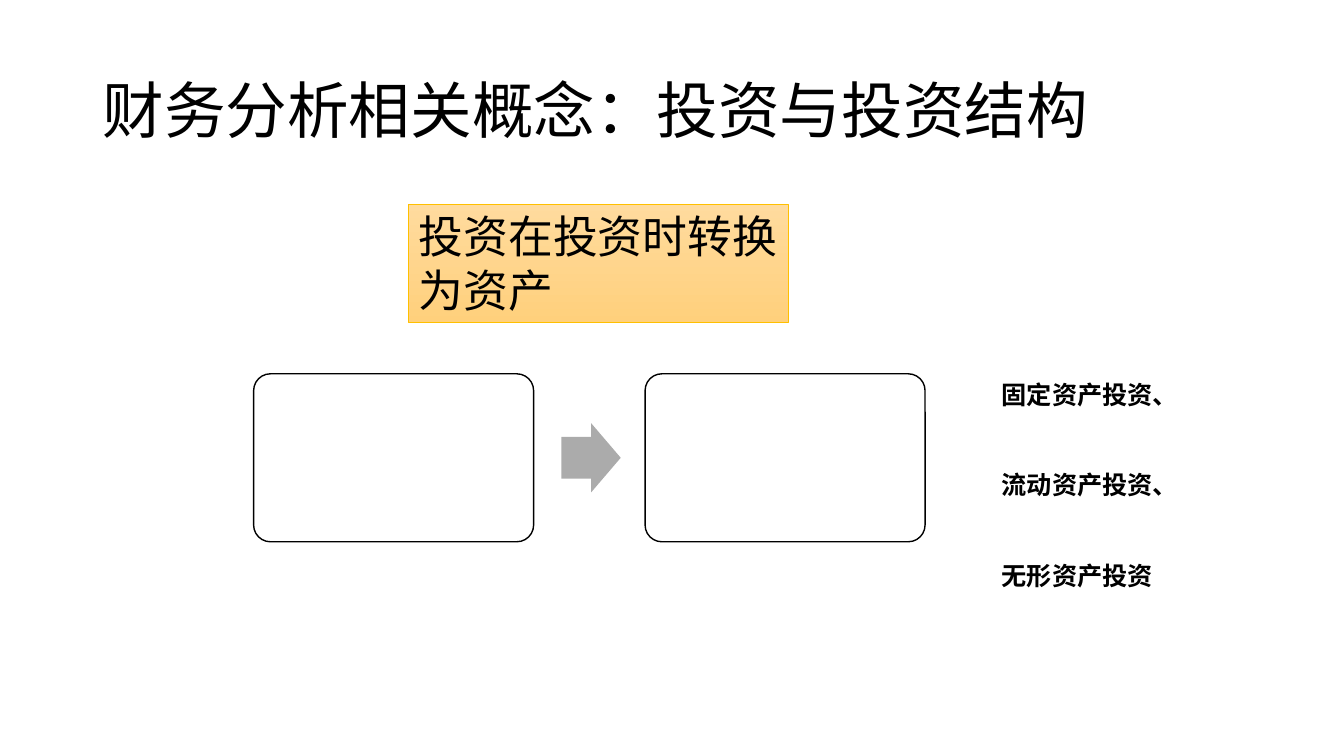
"""Build a slide on investment and investment structure."""
from lxml.etree import SubElement
from pptx import Presentation
from pptx.dml.color import RGBColor
from pptx.enum.shapes import MSO_SHAPE as Shape
from pptx.enum.text import MSO_ANCHOR as Anchor, MSO_AUTO_SIZE as AutoSize, PP_ALIGN as Align
from pptx.oxml.ns import qn
from pptx.util import Pt

FONT = "Noto Sans CJK SC"


def paint(color_format, value):
    color_format.rgb = RGBColor.from_string(value)


def write(box, text, size, bold=False, spacing=1.0, anchor=Anchor.TOP):
    frame = box.text_frame
    frame.word_wrap = True
    frame.auto_size = AutoSize.NONE
    frame.vertical_anchor = anchor
    frame.text = text
    for para in frame.paragraphs:
        para.alignment = Align.LEFT
        para.line_spacing = spacing
        for span in para.runs:
            span.font.name = FONT
            span.font.size = Pt(size)
            span.font.bold = bold
            paint(span.font.color, "000000")
            SubElement(span.font._element, qn("a:ea"), typeface=FONT)


deck = Presentation()
deck.slide_width, deck.slide_height = Pt(960), Pt(540)
page = deck.slides.add_slide(deck.slide_layouts[5])

title = page.shapes.title
title.left, title.top, title.width, title.height = Pt(66), Pt(28.75), Pt(828), Pt(104.4)
write(title, "财务分析相关概念：投资与投资结构", 44, spacing=0.9, anchor=Anchor.MIDDLE)

for left in (181.2, 460.8):
    panel = page.shapes.add_shape(Shape.ROUNDED_RECTANGLE, Pt(left), Pt(267), Pt(200), Pt(120))
    panel.adjustments[0] = 0.1
    panel.shadow.inherit = False
    panel.fill.solid()
    paint(panel.fill.fore_color, "FFFFFF")
    panel.line.width = Pt(1)
    paint(panel.line.color, "000000")

arrow = page.shapes.add_shape(Shape.RIGHT_ARROW, Pt(401), Pt(302.2), Pt(42.4), Pt(49.6))
arrow.adjustments[0] = 0.6
arrow.adjustments[1] = 0.5
arrow.shadow.inherit = False
arrow.fill.solid()
paint(arrow.fill.fore_color, "ABABAB")
arrow.line.fill.background()

banner = page.shapes.add_shape(Shape.RECTANGLE, Pt(292), Pt(145.8), Pt(271), Pt(84.8))
banner.shadow.inherit = False
banner.fill.gradient()
banner.fill.gradient_angle = 270
for stop, (position, value) in zip(banner.fill.gradient_stops, ((0, "FFDB9E"), (1, "FFD07C"))):
    stop.position = position
    paint(stop.color, value)
banner.line.width = Pt(0.5)
paint(banner.line.color, "FFC000")
write(banner, "投资在投资时转换为资产", 32)

kinds = page.shapes.add_textbox(Pt(708.5), Pt(224), Pt(142), Pt(192))
write(kinds, "固定资产投资、\n流动资产投资、\n无形资产投资", 18, bold=True, spacing=3.0)

deck.save("out.pptx")
